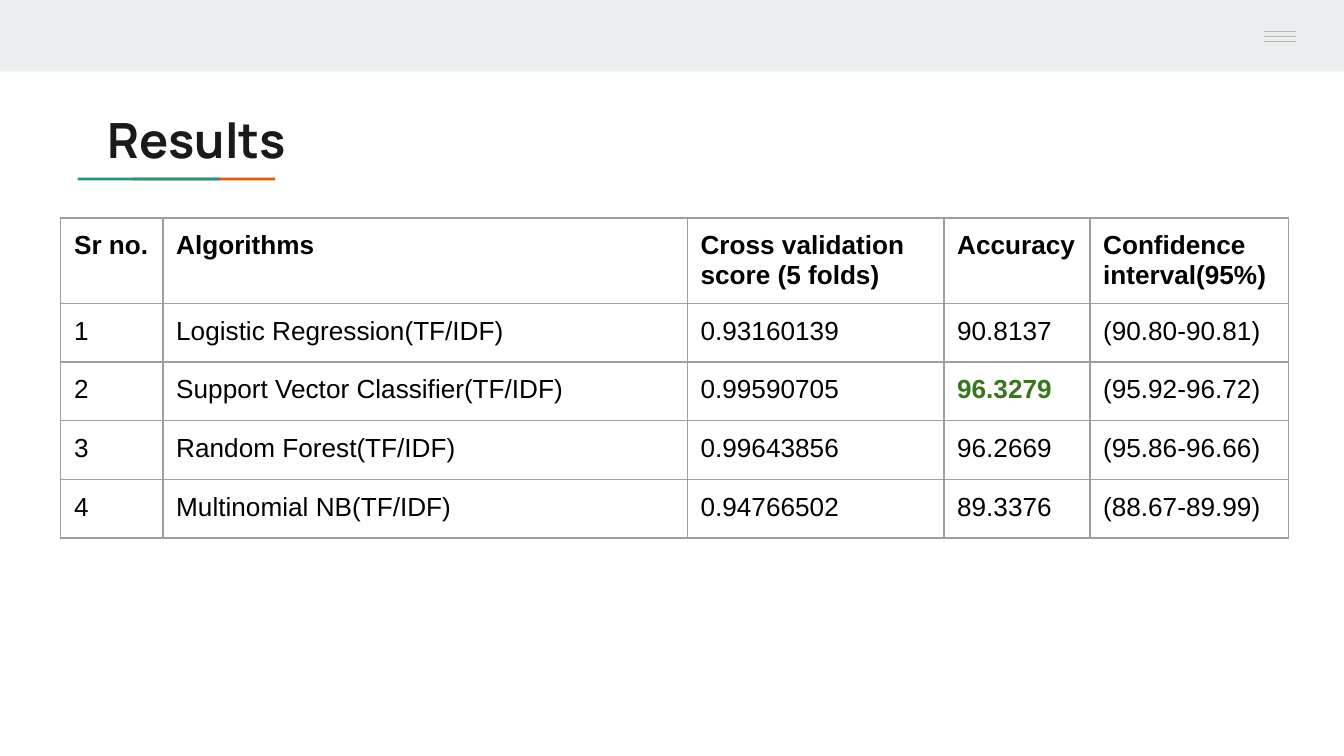
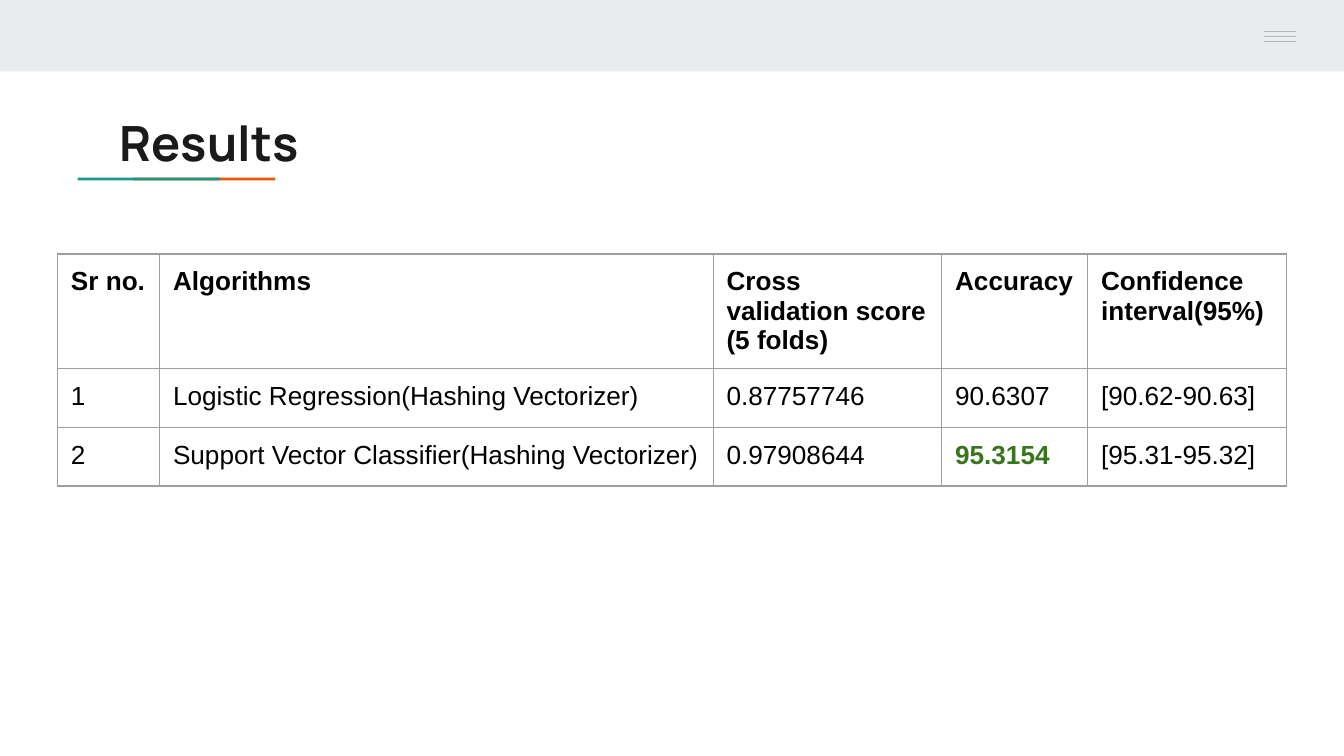
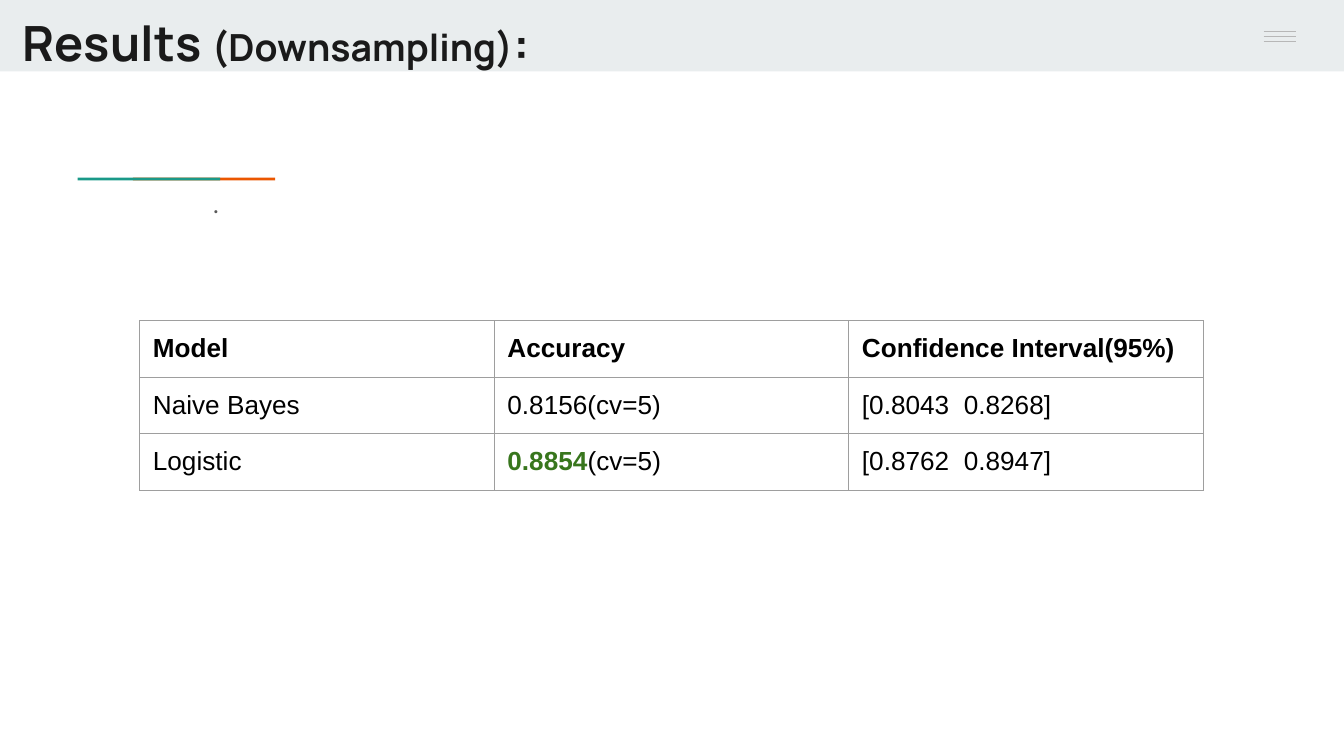
from lxml import etree
from pptx import Presentation
from pptx import util as u
from pptx.dml.color import RGBColor
from pptx.enum import shapes, text
from pptx.oxml.ns import qn

PALE, TEAL, RUST = "E9EDEE", "1A9988", "EB5600"
RULE, EDGE, INK = "B7B7B7", "9E9E9E", "1A1A1A"
GRAY, BLACK, GREEN = "595959", "000000", "38761D"
PAD = u.Cm(0.25)
HEAD = dict(font="Manrope", size=26, color=INK, bold=True)
CELL = dict(font="Arial", size=14, color=BLACK)
BEST = dict(color=GREEN, bold=True)


def tint(code):
    return RGBColor.from_string(code)


def write(frame, runs, left=PAD, line=None, after=None, **base):
    frame.word_wrap = True
    frame.auto_size = text.MSO_AUTO_SIZE.NONE
    frame.vertical_anchor = text.MSO_ANCHOR.TOP
    frame.margin_left = left
    frame.margin_right = frame.margin_top = frame.margin_bottom = PAD
    fill(frame.paragraphs[0], runs, line, after, **base)


def fill(para, runs, line=None, after=None, **base):
    para.alignment = text.PP_ALIGN.LEFT
    if line:
        para.line_spacing = line
    if after:
        para.space_after = u.Pt(after)
    for words, extra in [(runs, {})] if isinstance(runs, str) else runs:
        form = {**base, **extra}
        run = para.add_run()
        run.text = words
        run.font.name = form["font"]
        run.font.size = u.Pt(form["size"])
        run.font.bold = form.get("bold", False)
        run.font.color.rgb = tint(form["color"])


class Deck:
    def __init__(self):
        self.show = Presentation()
        self.show.slide_width = u.Cm(25.4)
        self.show.slide_height = u.Cm(14.29)
        self.base = self.show.slide_layouts[5]
        self.slide = None

    def page(self, runs, x, y, w, h, left=PAD):
        first = self.slide is None
        self.slide = self.show.slides.add_slide(self.base)
        if first:
            self.frame()
        title = self.slide.shapes.title
        self.place(title, x, y, w, h)
        write(title.text_frame, runs, left, **HEAD)

    def place(self, shape, x, y, w, h):
        shape.left, shape.top = u.Cm(x), u.Cm(y)
        shape.width, shape.height = u.Cm(w), u.Cm(h)

    def frame(self):
        parts = [
            self.block(0, 0, 25.4, 1.35, PALE),
            self.block(2.51, 3.36, 2.69, 0.05, RUST),
            self.block(1.47, 3.36, 2.69, 0.05, TEAL),
            self.block(23.01, 0, 2.39, 1.27, PALE),
        ]
        parts += [self.rule(23.88, 0.6 + 0.09 * i, 0.61) for i in range(3)]
        tree = self.base.shapes.element
        for i, part in enumerate(parts):
            node = part.element
            node.xpath(".//p:cNvPr")[0].set("id", str(20 + i))
            tree.insert(2 + i, node)

    def block(self, x, y, w, h, color):
        shape = self.slide.shapes.add_shape(
            shapes.MSO_SHAPE.RECTANGLE, u.Cm(x), u.Cm(y), u.Cm(w), u.Cm(h))
        shape.shadow.inherit = False
        shape.fill.solid()
        shape.fill.fore_color.rgb = tint(color)
        shape.line.fill.background()
        return shape

    def rule(self, x, y, w):
        line = self.slide.shapes.add_connector(
            shapes.MSO_CONNECTOR.STRAIGHT, u.Cm(x), u.Cm(y), u.Cm(x + w), u.Cm(y))
        line.line.color.rgb = tint(RULE)
        line.line.width = u.Pt(0.75)
        etree.SubElement(line.element.spPr, qn("a:effectLst"))
        return line

    def note(self, words, x, y, w, h, **form):
        box = self.slide.shapes.add_textbox(u.Cm(x), u.Cm(y), u.Cm(w), u.Cm(h))
        write(box.text_frame, words, **form)

    def table(self, x, y, cols, high, rows):
        grid = self.slide.shapes.add_table(
            len(rows), len(cols), u.Cm(x), u.Cm(y),
            u.Cm(sum(cols)), u.Cm(high * len(rows))).table
        grid.first_row = grid.horz_banding = False
        for col, wide in zip(grid.columns, cols):
            col.width = u.Cm(wide)
        for r, row in enumerate(rows):
            grid.rows[r].height = u.Cm(high)
            for c, runs in enumerate(row):
                self.cell(grid.cell(r, c), runs, r == 0)

    def cell(self, cell, runs, bold):
        cell.margin_left = cell.margin_right = PAD
        cell.margin_top = cell.margin_bottom = PAD
        cell.vertical_anchor = text.MSO_ANCHOR.TOP
        fill(cell.text_frame.paragraphs[0], runs, **CELL, bold=bold)
        props = cell._tc.get_or_add_tcPr()
        for side in "LRTB":
            line = etree.SubElement(props, qn("a:ln" + side), w=str(u.Pt(0.75)))
            paint = etree.SubElement(line, qn("a:solidFill"))
            etree.SubElement(paint, qn("a:srgbClr"), val=EDGE)
        cell.fill.background()


def main():
    deck = Deck()
    heads = ("Sr no.", "Algorithms", "Cross validation score (5 folds)",
             "Accuracy", "Confidence interval(95%)")

    deck.page("Results", 1.78, 1.83, 9.17, 2.08)
    deck.table(1.15, 4.12, (1.93, 9.91, 4.85, 2.76, 3.76), 1.11, [
        heads,
        ("1", "Logistic Regression(TF/IDF)", "0.93160139", "90.8137", "(90.80-90.81)"),
        ("2", "Support Vector Classifier(TF/IDF)", "0.99590705",
         [("96.3279", BEST)], "(95.92-96.72)"),
        ("3", "Random Forest(TF/IDF)", "0.99643856", "96.2669", "(95.86-96.66)"),
        ("4", "Multinomial NB(TF/IDF)", "0.94766502", "89.3376", "(88.67-89.99)"),
    ])

    deck.page("Results", 2.01, 1.88, 9.17, 1.88)
    deck.table(1.09, 4.8, (1.93, 10.46, 4.32, 2.76, 3.76), 1.11, [
        heads,
        ("1", "Logistic Regression(Hashing Vectorizer)", "0.87757746",
         "90.6307", "[90.62-90.63]"),
        ("2", "Support Vector Classifier(Hashing Vectorizer)", "0.97908644",
         [("95.3154", BEST)], "[95.31-95.32]"),
    ])

    deck.page([("Results ", {}), ("(Downsampling)", dict(size=20)), (":", {})],
              0, 0, 11.38, 1.45, left=u.Cm(0.43))
    deck.note(".", 3.78, 3.25, 9.17, 4.45, line=1.15, after=16,
              font="Lato", size=13, color=GRAY)
    deck.table(2.64, 6.06, (6.7,) * 3, 1.07, [
        ("Model", "Accuracy", "Confidence Interval(95%)"),
        ("Naive Bayes", "0.8156(cv=5)", "[0.8043  0.8268]"),
        ("Logistic", [("0.8854", BEST), ("(cv=5)", {})], "[0.8762  0.8947]"),
    ])

    deck.show.save("out.pptx")


if __name__ == "__main__":
    main()
